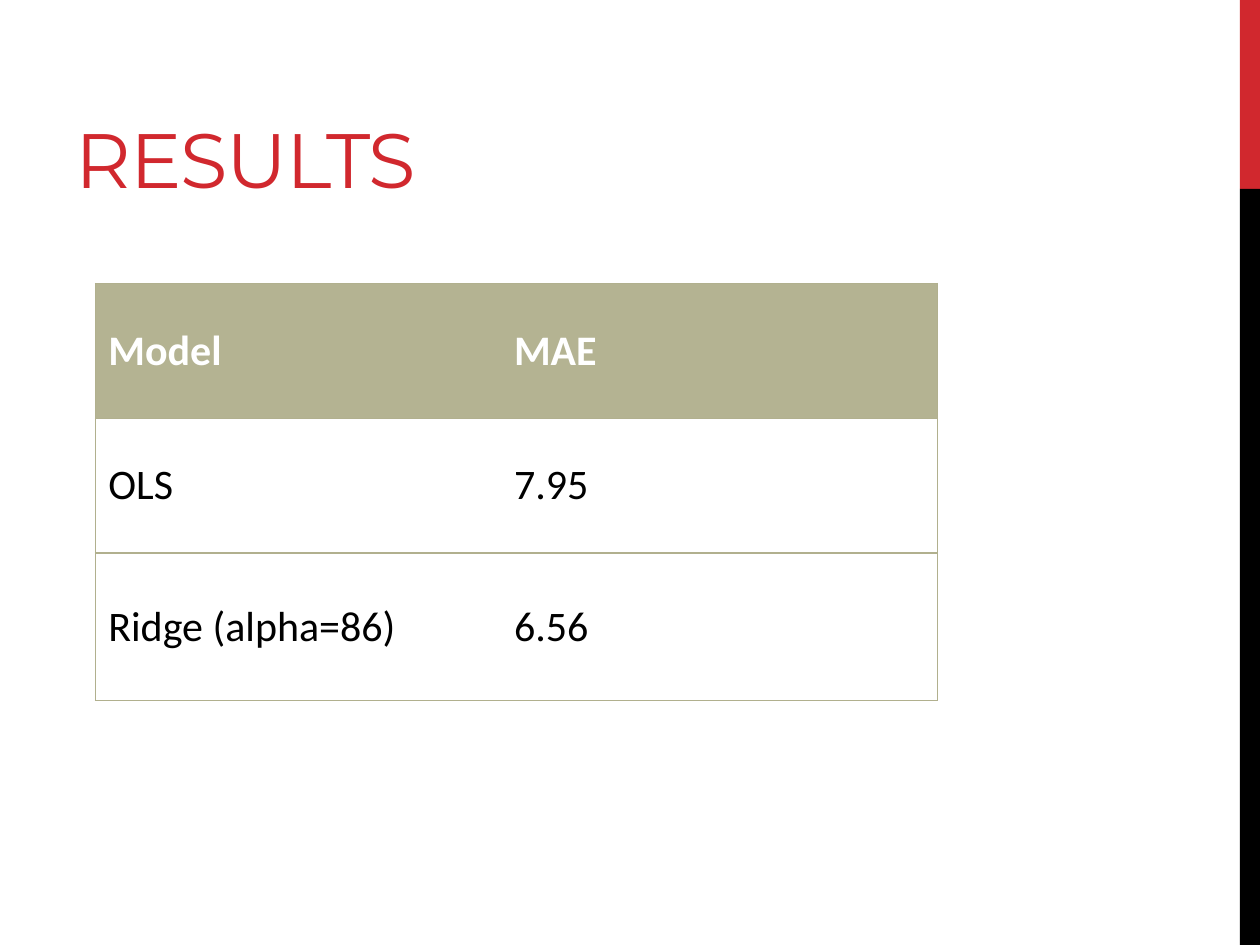
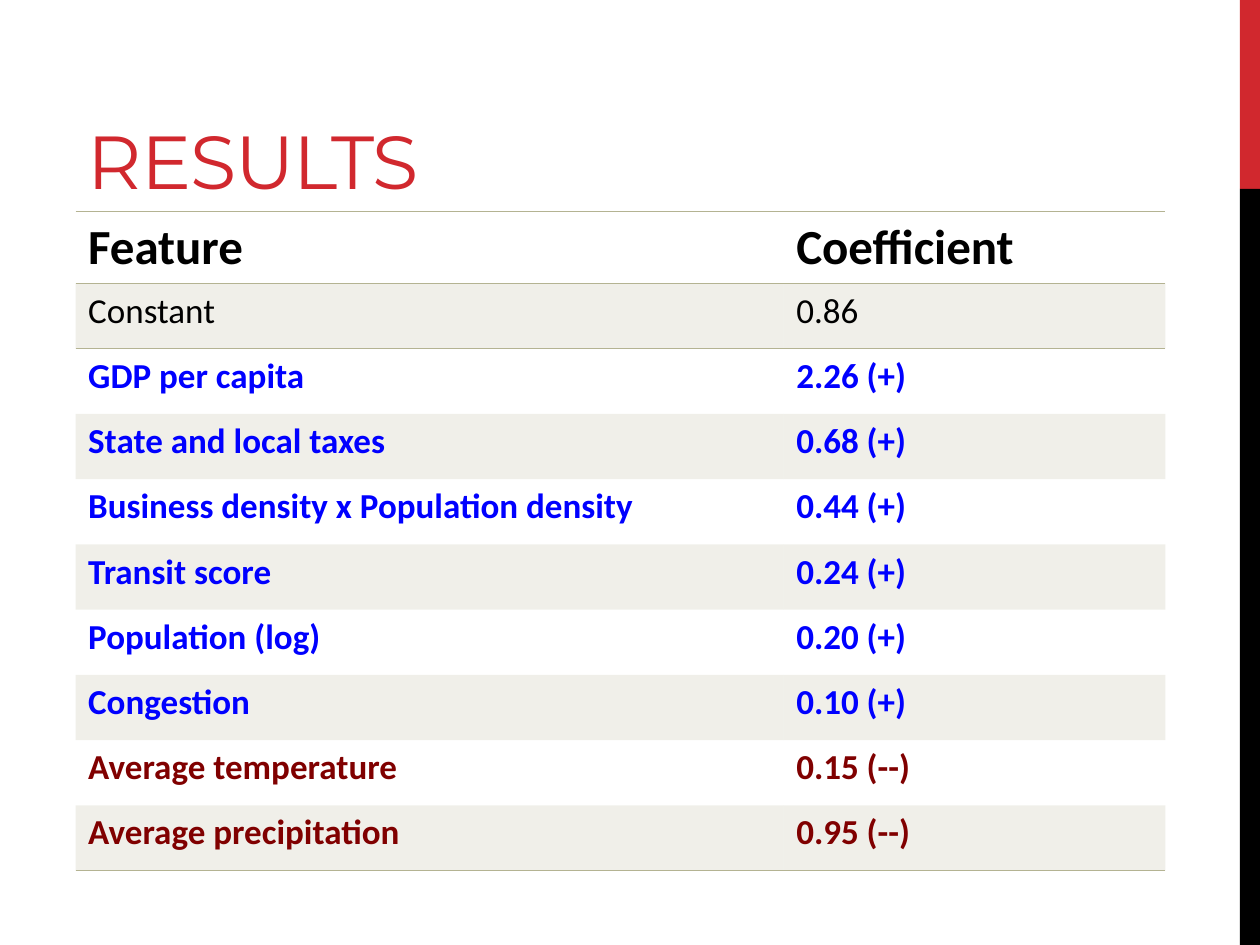
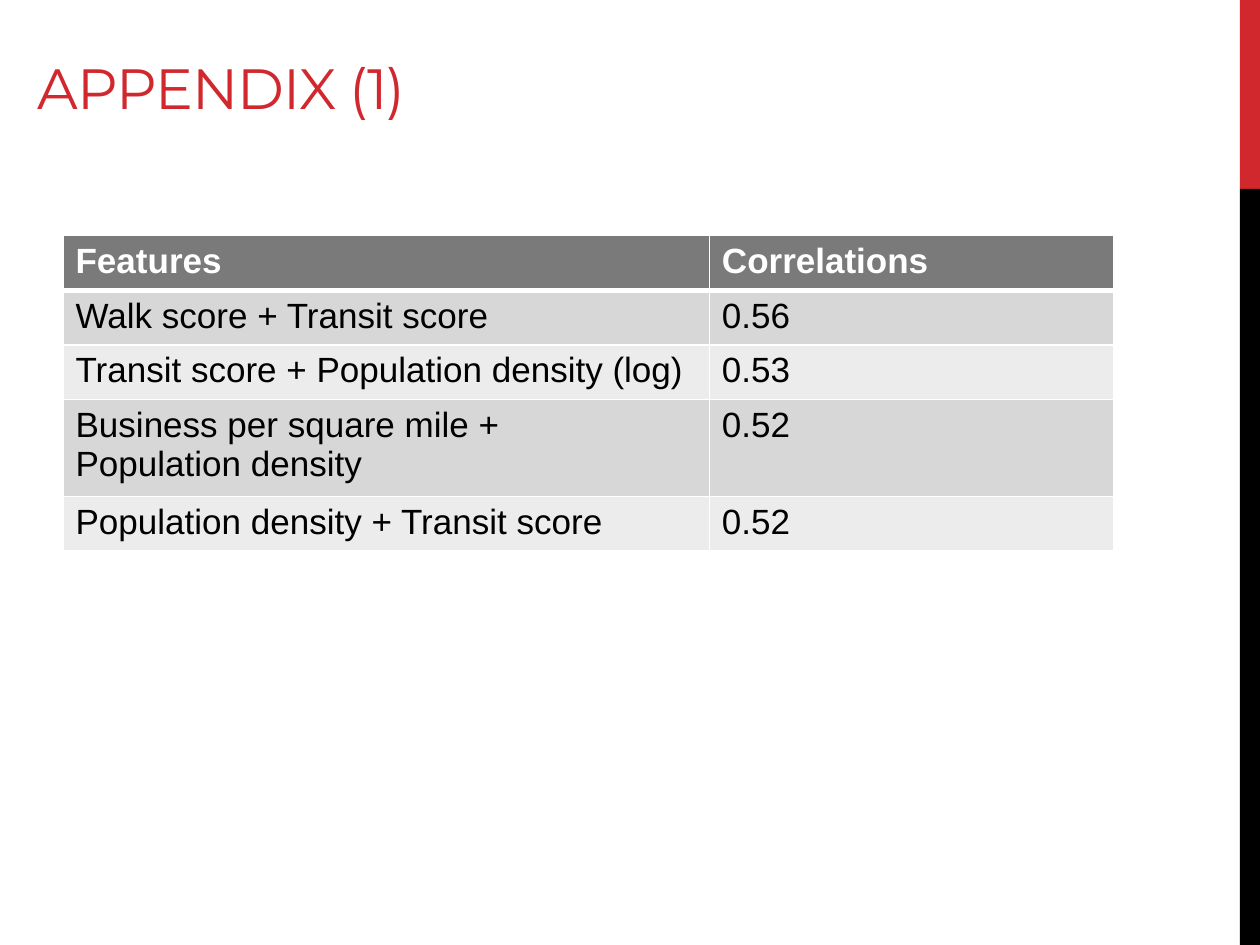
from lxml import etree
from pptx import Presentation
from pptx.dml.color import RGBColor
from pptx.enum.shapes import MSO_SHAPE
from pptx.enum.text import MSO_ANCHOR
from pptx.oxml.ns import qn
from pptx.util import Inches, Pt

RECTANGLE = MSO_SHAPE.RECTANGLE
TOP, MIDDLE, BOTTOM = MSO_ANCHOR.TOP, MSO_ANCHOR.MIDDLE, MSO_ANCHOR.BOTTOM
NO_GRID_STYLE = "{2D5ABB26-0587-4C30-8999-92F81FD0307C}"

COLORS = {
    "red": "D1282E",
    "black": "000000",
    "white": "FFFFFF",
    "olive": "B4B392",
    "olive_line": "B1B08E",
    "positive": "0000FF",
    "negative": "800000",
    "header_gray": "7A7A7A",
    "dark_band": "D7D7D7",
    "light_band": "ECECEC",
}


def rgb(name):
    return RGBColor.from_string(COLORS[name])


class Deck:
    def __init__(self):
        self.presentation = Presentation()
        self.presentation.slide_width = Inches(10)
        self.presentation.slide_height = Inches(7.5)
        self.slide = None

    def new_slide(self):
        layout = self.presentation.slide_layouts[6]
        self.slide = self.presentation.slides.add_slide(layout)
        self.band(0, 1.5, "red")
        self.band(1.5, 6, "black")

    def band(self, top, height, color):
        shape = self.slide.shapes.add_shape(
            RECTANGLE, Inches(9.84), Inches(top), Inches(0.16), Inches(height))
        shape.shadow.inherit = False
        shape.fill.solid()
        shape.fill.fore_color.rgb = rgb(color)
        shape.line.fill.background()

    def run(self, paragraph, text, size, font, color, bold=False):
        run = paragraph.add_run()
        run.text = text
        run.font.size = Pt(size)
        run.font.name = font
        run.font.bold = bold
        run.font.color.rgb = rgb(color)
        return run

    def title(self, text, left, top, width, height, size):
        box = self.slide.shapes.add_textbox(
            Inches(left), Inches(top), Inches(width), Inches(height))
        frame = box.text_frame
        frame.word_wrap = True
        frame.vertical_anchor = BOTTOM
        run = self.run(frame.paragraphs[0], text, size, "Montserrat", "red")
        run.font._element.set("spc", "-60")

    def table(self, left, top, widths, heights, rows, font, style, anchor=TOP):
        frame = self.slide.shapes.add_table(
            len(rows), len(widths), Inches(left), Inches(top),
            Inches(sum(widths)), Inches(sum(heights)))
        table = frame.table
        table._tbl.tblPr.find(qn("a:tableStyleId")).text = NO_GRID_STYLE
        for column, width in zip(table.columns, widths):
            column.width = Inches(width)
        for row_index, (row, height) in enumerate(zip(rows, heights)):
            table.rows[row_index].height = Inches(height)
            for column_index, text in enumerate(row):
                cell = table.cell(row_index, column_index)
                cell.vertical_anchor = anchor
                look = style(row_index, column_index)
                self.fill_cell(cell, look.get("fill"), look.get("alpha"))
                self.cell_borders(cell, look["borders"])
                for line_index, line in enumerate(text.split("\n")):
                    text_frame = cell.text_frame
                    paragraph = text_frame.add_paragraph() if line_index else text_frame.paragraphs[0]
                    self.run(paragraph, line, look["size"], font, look["color"], look["bold"])

    def fill_cell(self, cell, color, alpha):
        if color is None:
            cell.fill.background()
            return
        cell.fill.solid()
        cell.fill.fore_color.rgb = rgb(color)
        if alpha:
            solid = cell._tc.tcPr.find(qn("a:solidFill"))
            etree.SubElement(solid[0], qn("a:alpha"), val=str(alpha * 1000))

    def cell_borders(self, cell, borders):
        properties = cell._tc.get_or_add_tcPr()
        sides = [side for side in "LRTB" if side in borders]
        for position, side in enumerate(sides):
            color, width = borders[side]
            line = etree.Element(qn(f"a:ln{side}"), w=str(Pt(width)))
            solid = etree.SubElement(line, qn("a:solidFill"))
            etree.SubElement(solid, qn("a:srgbClr"), val=COLORS[color])
            properties.insert(position, line)


def model_style(row, column):
    header = row == 0
    outer_side = "L" if column == 0 else "R"
    return {
        "size": 24,
        "bold": header,
        "color": "white" if header else "black",
        "fill": "olive" if header else None,
        "borders": {side: ("olive_line", 1) for side in outer_side + "TB"},
    }


def coefficient_style(row, column):
    sides = {0: "TB", 1: "T", 9: "B"}.get(row, "")
    color = "black" if row < 2 else "positive" if row < 8 else "negative"
    return {
        "size": 20 if row else 28,
        "bold": row != 1,
        "color": color,
        "fill": "olive" if row % 2 else None,
        "alpha": 20,
        "borders": {side: ("olive", 1) for side in sides},
    }


def correlation_style(row, column):
    header = row == 0
    borders = {side: ("white", 1) for side in "LRTB"}
    if row < 2:
        borders["B" if header else "T"] = ("white", 3)
    return {
        "size": 20,
        "bold": header,
        "color": "white" if header else "black",
        "fill": "header_gray" if header else "dark_band" if row % 2 else "light_band",
        "borders": borders,
    }


MODELS = [("Model", "MAE"), ("OLS", "7.95"), ("Ridge (alpha=86)", "6.56")]

COEFFICIENTS = [
    ("Feature", "Coefficient"),
    ("Constant", "0.86"),
    ("GDP per capita", "2.26 (+)"),
    ("State and local taxes", "0.68 (+)"),
    ("Business density x Population density", "0.44 (+)"),
    ("Transit score", "0.24 (+)"),
    ("Population (log)", "0.20 (+)"),
    ("Congestion", "0.10 (+)"),
    ("Average temperature", "0.15 (--)"),
    ("Average precipitation", "0.95 (--)"),
]

CORRELATIONS = [
    ("Features", "Correlations"),
    ("Walk score + Transit score", "0.56"),
    ("Transit score + Population density (log)", "0.53"),
    ("Business per square mile +\nPopulation density", "0.52"),
    ("Population density + Transit score", "0.52"),
]


def main():
    deck = Deck()

    deck.new_slide()
    deck.title("RESULTS", 0.5, 0.17, 8.92, 1.5, 44)
    deck.table(0.76, 2.25, [3.22, 3.46], [1.07, 1.07, 1.17],
               MODELS, "Calibri", model_style, MIDDLE)

    deck.new_slide()
    header_height = 0.57
    row_height = (5.23 - header_height) / 9
    deck.table(0.6, 1.68, [5.62, 3.03], [header_height] + [row_height] * 9,
               COEFFICIENTS, "Calibri", coefficient_style)
    deck.title("RESULTS", 0.6, 0.17, 8.83, 1.5, 42.9)

    deck.new_slide()
    deck.title("APPENDIX (1)", 0.2, 0.54, 6.33, 0.47, 32.4)
    deck.table(0.5, 1.87, [5.13, 3.21], [0.41, 0.41, 0.41, 0.72, 0.41],
               CORRELATIONS, "Arial", correlation_style)

    deck.presentation.save("out.pptx")


if __name__ == "__main__":
    main()
